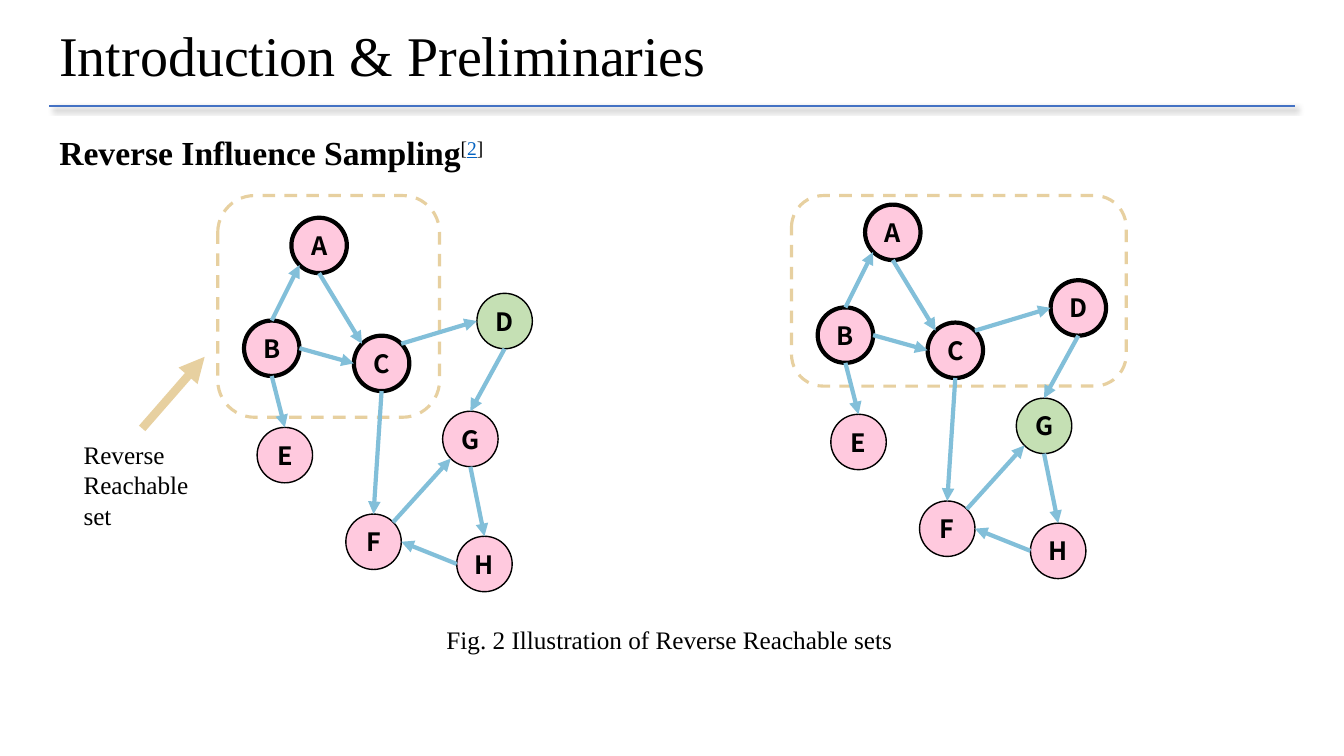
from math import cos, radians, sin

from lxml.etree import SubElement
from pptx import Presentation
from pptx.dml.color import RGBColor
from pptx.enum.dml import MSO_LINE
from pptx.enum.shapes import MSO_CONNECTOR, MSO_SHAPE
from pptx.enum.text import MSO_ANCHOR, MSO_AUTO_SIZE, PP_ALIGN
from pptx.oxml.ns import qn
from pptx.util import Inches, Pt

BLACK, PINK, GREEN = "000000", "FFC9DE", "C5E0B4"
SAND, SKY, RULE_BLUE, LINK_BLUE = "E7D0A0", "82BFD9", "4472C4", "0563C1"
SERIF, SANS = "Times New Roman", "Noto Sans CJK SC"
NODE_SIZE = 0.55
NODES = {
    "A": (2.89, 2.16), "B": (2.42, 3.18), "C": (3.51, 3.33), "D": (4.73, 2.91),
    "E": (2.55, 4.24), "F": (3.43, 5.1), "G": (4.39, 4.08), "H": (4.53, 5.32),
}
TOP, TOP_LEFT, LEFT, BOTTOM_LEFT, BOTTOM, _, RIGHT, TOP_RIGHT = range(8)
EDGES = [
    ("B", TOP, "A", BOTTOM_LEFT), ("A", BOTTOM, "C", TOP_LEFT),
    ("B", BOTTOM, "E", TOP), ("B", RIGHT, "C", LEFT),
    ("C", TOP_RIGHT, "D", LEFT), ("C", BOTTOM, "F", TOP),
    ("F", TOP_RIGHT, "G", BOTTOM_LEFT), ("H", LEFT, "F", RIGHT),
    ("G", BOTTOM, "H", TOP), ("D", BOTTOM, "G", TOP),
]


def color(hex_code):
    """Turn a hex string into a colour."""
    return RGBColor.from_string(hex_code)


def style_font(font, hex_code=BLACK, **values):
    """Apply a colour and format values to a font."""
    font.color.rgb = color(hex_code)
    for name, value in values.items():
        setattr(font, name, value)


def style_line(line, hex_code, width):
    """Give a line its colour and its width in points."""
    line.color.rgb = color(hex_code)
    line.width = Pt(width)


def add_text(slide, box, paragraphs, size, wrap=False):
    """Add a text box from paragraphs of (text, format, baseline) runs."""
    frame = slide.shapes.add_textbox(*map(Inches, box)).text_frame
    frame.word_wrap = wrap
    frame.auto_size = MSO_AUTO_SIZE.SHAPE_TO_FIT_TEXT
    for index, runs in enumerate(paragraphs):
        paragraph = frame.add_paragraph() if index else frame.paragraphs[0]
        for text, values, baseline in runs:
            if text == "\v":
                paragraph.add_line_break()
                continue
            run = paragraph.add_run()
            run.text = text
            style_font(run.font, **{"size": Pt(size), "name": SERIF, **values})
            if baseline:
                run.font._element.set("baseline", str(baseline * 1000))


def add_line(slide, start, end, hex_code, width, arrow=True):
    """Add a straight line, with an arrowhead at its end if wanted."""
    line = slide.shapes.add_connector(
        MSO_CONNECTOR.STRAIGHT, *map(Inches, (*start, *end)))
    style_line(line.line, hex_code, width)
    if arrow:
        SubElement(line.line._get_or_add_ln(), qn("a:tailEnd"), type="triangle")
    SubElement(line._element.spPr, qn("a:effectLst"))
    return line


def add_title_rule(slide):
    """Add the shadowed line under the title."""
    rule = add_line(slide, (0.49, 1.05), (12.84, 1.05), RULE_BLUE, 1.5, arrow=False)
    effects = rule._element.spPr.find(qn("a:effectLst"))
    shadow = SubElement(
        effects, qn("a:outerShdw"), blurRad=str(Pt(4)), dist=str(Pt(3)),
        dir=str(45 * 60000), algn="tl", rotWithShape="0")
    black = SubElement(shadow, qn("a:srgbClr"), val=BLACK)
    SubElement(black, qn("a:alpha"), val="40000")


def add_reachable_frame(slide, box):
    """Add the dashed frame around a reverse reachable set."""
    frame = slide.shapes.add_shape(MSO_SHAPE.ROUNDED_RECTANGLE, *map(Inches, box))
    frame.shadow.inherit = False
    frame.fill.background()
    style_line(frame.line, SAND, 2.25)
    frame.line.dash_style = MSO_LINE.DASH


def add_node(slide, label, position, fill, border):
    """Add a labelled circle of the graph."""
    node = slide.shapes.add_shape(
        MSO_SHAPE.OVAL, *map(Inches, (*position, NODE_SIZE, NODE_SIZE)))
    node.shadow.inherit = False
    node.fill.solid()
    node.fill.fore_color.rgb = color(fill)
    style_line(node.line, BLACK, border)
    frame = node.text_frame
    for side in ("left", "right", "top", "bottom"):
        setattr(frame, f"margin_{side}", 0)
    frame.vertical_anchor = MSO_ANCHOR.MIDDLE
    paragraph = frame.paragraphs[0]
    paragraph.alignment = PP_ALIGN.CENTER
    run = paragraph.add_run()
    run.text = label
    style_font(run.font, size=Pt(18), name=SANS, bold=True)
    return node


def site_point(position, site):
    """Find a connection site, counted anticlockwise from the top."""
    angle, radius = radians(90 + 45 * site), NODE_SIZE / 2
    return (position[0] + radius + radius * cos(angle),
            position[1] + radius - radius * sin(angle))


def add_graph(slide, offset, reachable, root):
    """Add the graph, marking the reachable nodes and the green root."""
    places = {label: (x + offset[0], y + offset[1])
              for label, (x, y) in NODES.items()}
    circles = {
        label: add_node(slide, label, place, GREEN if label == root else PINK,
                        3 if label in reachable else 1)
        for label, place in places.items()}
    for source, source_site, target, target_site in EDGES:
        edge = add_line(slide, site_point(places[source], source_site),
                        site_point(places[target], target_site), SKY, 3)
        glue = edge._element.nvCxnSpPr.cNvCxnSpPr
        for tag, label, site in (("a:stCxn", source, source_site),
                                 ("a:endCxn", target, target_site)):
            SubElement(glue, qn(tag), id=str(circles[label].shape_id), idx=str(site))


def main():
    """Build the slide and save it."""
    deck = Presentation()
    deck.slide_width, deck.slide_height = Inches(13.33), Inches(7.5)
    slide = deck.slides.add_slide(deck.slide_layouts[6])
    add_title_rule(slide)
    add_text(slide, (0.49, 0.15, 6.69, 0.77),
             [[("Introduction & Preliminaries", {}, 0)]], 40)
    add_text(slide, (0.49, 1.26, 6.67, 0.5), [[
        ("Reverse Influence Sampling", {"bold": True}, 0),
        ("[", {}, 30),
        ("2", {"hex_code": LINK_BLUE, "underline": True}, 30),
        ("]", {}, 30),
    ]], 24, wrap=True)
    add_reachable_frame(slide, (7.85, 1.94, 3.32, 1.89))
    add_reachable_frame(slide, (2.16, 1.94, 2.2, 2.2))
    add_graph(slide, (0, 0), "ABC", "D")
    add_graph(slide, (5.69, -0.13), "ABCD", "G")
    add_text(slide, (4.33, 6.14, 4.67, 0.4),
             [[("Fig. 2 Illustration of Reverse Reachable sets", {}, 0)]], 18)
    add_text(slide, (0.73, 4.31, 1.25, 1.01), [
        [("Reverse", {}, 0), ("\v", {}, 0), ("Reachable", {}, 0)],
        [("set", {}, 0)],
    ], 18)
    add_line(slide, (1.41, 4.25), (2.03, 3.54), SAND, 6)
    deck.save("out.pptx")


main()
